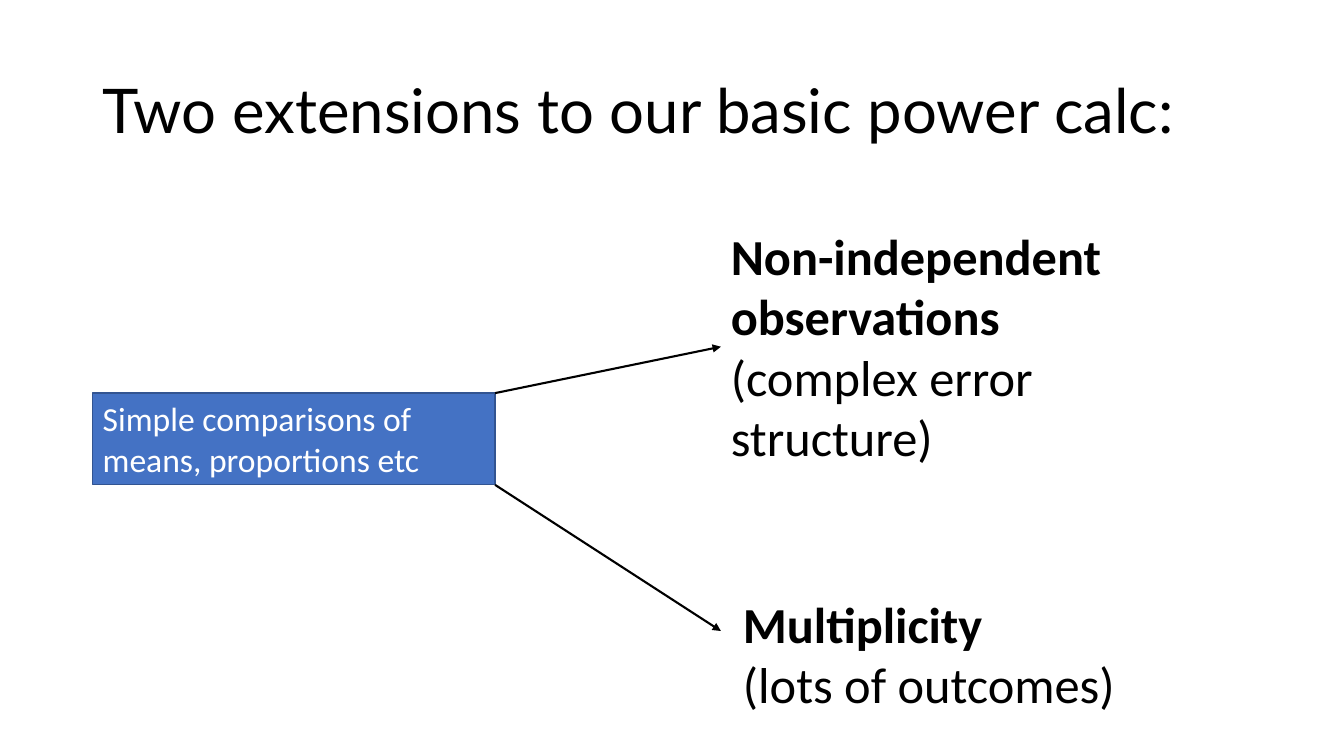
from pptx import Presentation
from pptx.dml.color import RGBColor
from pptx.enum.shapes import MSO_CONNECTOR as CONNECTOR, MSO_SHAPE as SHAPE
from pptx.enum.text import MSO_ANCHOR as ANCHOR, PP_ALIGN as ALIGN
from pptx.oxml.ns import qn
from pptx.util import Inches, Pt
from lxml import etree


def color(hex_value):
    return RGBColor.from_string(hex_value)


def write(shape, text, size, font="Calibri", ink="000000", bold_first=False,
          anchor=ANCHOR.TOP, spacing=1.0):
    frame = shape.text_frame
    frame.word_wrap = True
    frame.vertical_anchor = anchor
    frame.text = text
    for index, paragraph in enumerate(frame.paragraphs):
        paragraph.alignment = ALIGN.LEFT
        paragraph.line_spacing = spacing
        paragraph.font.name = font
        for run in paragraph.runs:
            run.font.name = font
            run.font.size = Pt(size)
            run.font.bold = bold_first and index == 0
            run.font.color.rgb = color(ink)


deck = Presentation()
deck.slide_width = Inches(13.33)
deck.slide_height = Inches(7.5)
slide = deck.slides.add_slide(deck.slide_layouts[6])

left, top, width, height = 0.92, 3.9, 3.99, 0.91
basics = slide.shapes.add_shape(
    SHAPE.RECTANGLE, Inches(left), Inches(top), Inches(width), Inches(height))
basics.shadow.inherit = False
basics.fill.solid()
basics.fill.fore_color.rgb = color("4472C4")
basics.line.color.rgb = color("325491")
basics.line.width = Pt(1)
write(basics, "Simple comparisons of means, proportions etc", 24, ink="FFFFFF")

for start_y, end_y in [(top, 3.44), (top + height, 6.26)]:
    arrow = slide.shapes.add_connector(
        CONNECTOR.STRAIGHT, Inches(left + width), Inches(start_y),
        Inches(7.15), Inches(end_y))
    arrow.line.color.rgb = color("000000")
    arrow.line.width = Pt(1.5)
    etree.SubElement(arrow.line._get_or_add_ln(), qn("a:tailEnd"), type="triangle")
    etree.SubElement(arrow._element.spPr, qn("a:effectLst"))

extensions = [
    ("Multiplicity\n(lots of outcomes)", 7.27, 5.83, 4.04, 1.31),
    ("Non-independent observations\n(complex error structure)", 7.15, 2.18, 5.16, 2.52),
]
for text, *box in extensions:
    extension = slide.shapes.add_textbox(*map(Inches, box))
    write(extension, text, 36, bold_first=True)

title = slide.shapes.add_textbox(Inches(left), Inches(0.4), Inches(11.5), Inches(1.45))
write(title, "Two extensions to our basic power calc:", 44, font="Lato",
      anchor=ANCHOR.MIDDLE, spacing=0.9)

deck.save("out.pptx")
